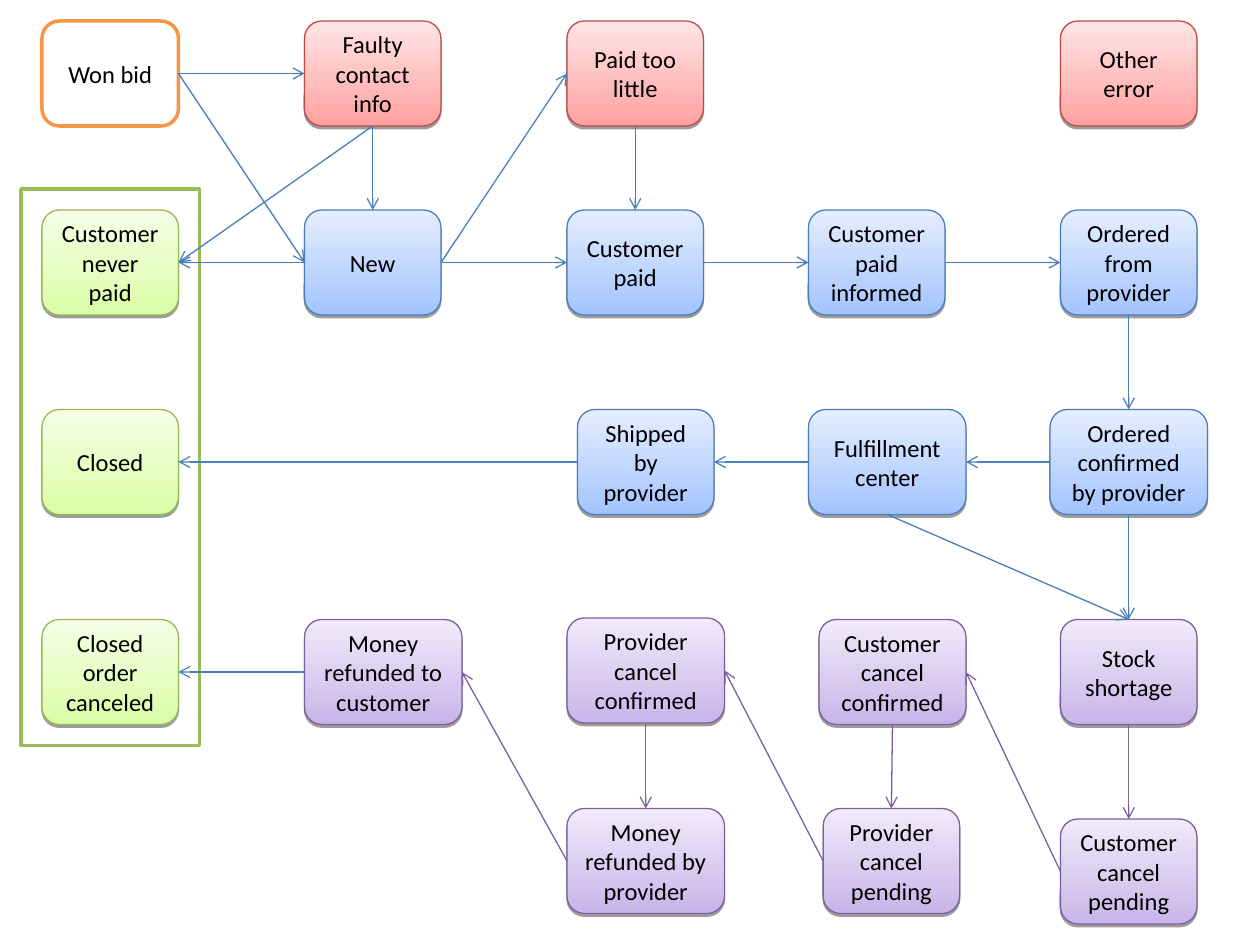
import dataclasses
import enum
import typing

import lxml.etree
import pptx
import pptx.dml.color
import pptx.enum.shapes
import pptx.enum.text
import pptx.oxml
import pptx.oxml.ns
import pptx.util

COLUMNS, ROWS = 120, 90
SLIDE_WIDTH, SLIDE_HEIGHT = pptx.util.Inches(10), pptx.util.Inches(7.5)
NODE_WIDTH, WIDE_NODE, NODE_HEIGHT = 13, 15, 10

Shapes = pptx.enum.shapes.MSO_SHAPE


class Side(enum.IntEnum):
    """Connection sites of a rounded rectangle."""
    TOP = 0
    LEFT = 1
    BOTTOM = 2
    RIGHT = 3


@dataclasses.dataclass(frozen=True)
class Style:
    line: str
    bottom: str = "FFFFFF"
    top: str = ""  # empty: flat fill without shadow
    line_width: float = 0.75


@dataclasses.dataclass(frozen=True)
class Node:
    text: str
    column: float
    row: float
    style: Style
    width: float = NODE_WIDTH


@dataclasses.dataclass(frozen=True)
class Arrow:
    start: str
    start_side: Side
    end: str
    end_side: Side
    color: str = "4A7EBB"


START = Style("F79646", line_width=2)
FRAME = Style("9BBB59", line_width=2)
ERROR = Style("BE4B48", "FFA2A1", "FFE5E5")
ORDER = Style("4A7EBB", "A3C4FF", "E5EEFF")
CANCEL = Style("7D60A0", "C9B5E8", "F0EAF9")
CLOSED = Style("98B954", "DAFDA7", "F5FFE6")

NODES = [
    Node("Won bid", 4, 2, START),
    Node("Faulty contact info", 29, 2, ERROR),
    Node("Paid too little", 54, 2, ERROR),
    Node("Other error", 101, 2, ERROR),
    Node("Customer never paid", 4, 20, CLOSED),
    Node("New", 29, 20, ORDER),
    Node("Customer paid", 54, 20, ORDER),
    Node("Customer paid informed", 77, 20, ORDER),
    Node("Ordered from provider", 101, 20, ORDER),
    Node("Closed", 4, 39, CLOSED),
    Node("Shipped by provider", 55, 39, ORDER),
    Node("Fulfillment center", 77, 39, ORDER, WIDE_NODE),
    Node("Ordered confirmed by provider", 100, 39, ORDER, WIDE_NODE),
    Node("Closed order canceled", 4, 59, CLOSED),
    Node("Money refunded to customer", 29, 59, CANCEL, WIDE_NODE),
    Node("Provider cancel confirmed", 54, 58.85, CANCEL, WIDE_NODE),
    Node("Customer cancel confirmed", 78, 59, CANCEL, 14),
    Node("Stock shortage", 101, 59, CANCEL),
    Node("Money refunded by provider", 54, 77, CANCEL, WIDE_NODE),
    Node("Provider cancel pending", 78.4, 77, CANCEL),
    Node("Customer cancel pending", 101, 78, CANCEL),
]


def rightward(start: str, end: str, color: str = ORDER.line) -> Arrow:
    return Arrow(start, Side.RIGHT, end, Side.LEFT, color)


def leftward(start: str, end: str, color: str = ORDER.line) -> Arrow:
    return Arrow(start, Side.LEFT, end, Side.RIGHT, color)


def downward(start: str, end: str, color: str = ORDER.line) -> Arrow:
    return Arrow(start, Side.BOTTOM, end, Side.TOP, color)


ARROWS = [
    rightward("Won bid", "Faulty contact info"),
    rightward("Won bid", "New"),
    downward("Faulty contact info", "New"),
    Arrow("Faulty contact info", Side.BOTTOM, "Customer never paid", Side.RIGHT),
    leftward("New", "Customer never paid"),
    rightward("New", "Paid too little"),
    rightward("New", "Customer paid"),
    downward("Paid too little", "Customer paid"),
    rightward("Customer paid", "Customer paid informed"),
    rightward("Customer paid informed", "Ordered from provider"),
    downward("Ordered from provider", "Ordered confirmed by provider"),
    leftward("Ordered confirmed by provider", "Fulfillment center"),
    downward("Ordered confirmed by provider", "Stock shortage"),
    downward("Fulfillment center", "Stock shortage"),
    leftward("Fulfillment center", "Shipped by provider"),
    leftward("Shipped by provider", "Closed"),
    downward("Stock shortage", "Customer cancel pending", CANCEL.line),
    leftward("Customer cancel pending", "Customer cancel confirmed", CANCEL.line),
    downward("Customer cancel confirmed", "Provider cancel pending", CANCEL.line),
    leftward("Provider cancel pending", "Provider cancel confirmed", CANCEL.line),
    downward("Provider cancel confirmed", "Money refunded by provider", CANCEL.line),
    leftward("Money refunded by provider", "Money refunded to customer", CANCEL.line),
    leftward("Money refunded to customer", "Closed order canceled"),
]


def rgb(value: str) -> pptx.dml.color.RGBColor:
    return pptx.dml.color.RGBColor.from_string(value)


def set_attributes(target: typing.Any, values: dict[str, typing.Any]) -> None:
    for name, value in values.items():
        setattr(target, name, value)


def set_line(line: typing.Any, color: str, width: float) -> None:
    line.color.rgb = rgb(color)
    line.width = pptx.util.Pt(width)


def add_shadow(shape: typing.Any) -> None:
    effects = shape.element.spPr.find(pptx.oxml.ns.qn("a:effectLst"))
    effects.append(pptx.oxml.parse_xml(
        f'<a:outerShdw {pptx.oxml.ns.nsdecls("a")} blurRad="0" dist="20000" '
        'dir="5400000" rotWithShape="0"><a:srgbClr val="000000">'
        '<a:alpha val="38000"/></a:srgbClr></a:outerShdw>'))


def add_box(slide: typing.Any, kind: Shapes, column: float, row: float,
            width: float, height: float, style: Style) -> typing.Any:
    shape = slide.shapes.add_shape(
        kind,
        round(SLIDE_WIDTH * column / COLUMNS), round(SLIDE_HEIGHT * row / ROWS),
        round(SLIDE_WIDTH * width / COLUMNS), round(SLIDE_HEIGHT * height / ROWS))
    shape.shadow.inherit = False
    set_line(shape.line, style.line, style.line_width)
    if style.top:
        shape.fill.gradient()
        shape.fill.gradient_angle = 90
        for stop, color in zip(shape.fill.gradient_stops, (style.bottom, style.top)):
            stop.color.rgb = rgb(color)
        add_shadow(shape)
    else:
        shape.fill.solid()
        shape.fill.fore_color.rgb = rgb(style.bottom)
    return shape


def add_node(slide: typing.Any, node: Node) -> typing.Any:
    shape = add_box(slide, Shapes.ROUNDED_RECTANGLE, node.column, node.row,
                    node.width, NODE_HEIGHT, node.style)
    set_attributes(shape.text_frame, {
        "word_wrap": True, "vertical_anchor": pptx.enum.text.MSO_ANCHOR.MIDDLE})
    paragraph = shape.text_frame.paragraphs[0]
    paragraph.alignment = pptx.enum.text.PP_ALIGN.CENTER
    run = paragraph.add_run()
    run.text = node.text
    set_attributes(run.font, {"name": "Calibri", "size": pptx.util.Pt(14)})
    run.font.color.rgb = rgb("000000")
    return shape


def add_arrow(slide: typing.Any, arrow: Arrow, shapes: dict[str, typing.Any]) -> None:
    connector = slide.shapes.add_connector(
        pptx.enum.shapes.MSO_CONNECTOR.STRAIGHT, 0, 0, 0, 0)
    connector.begin_connect(shapes[arrow.start], arrow.start_side.value)
    connector.end_connect(shapes[arrow.end], arrow.end_side.value)
    set_line(connector.line, arrow.color, 0.75)
    properties = connector.element.spPr
    line = properties.find(pptx.oxml.ns.qn("a:ln"))
    lxml.etree.SubElement(line, pptx.oxml.ns.qn("a:tailEnd"), type="arrow")
    lxml.etree.SubElement(properties, pptx.oxml.ns.qn("a:effectLst"))


def main() -> None:
    presentation = pptx.Presentation()
    set_attributes(presentation, {
        "slide_width": SLIDE_WIDTH, "slide_height": SLIDE_HEIGHT})
    slide = presentation.slides.add_slide(presentation.slide_layouts[6])
    add_box(slide, Shapes.RECTANGLE, 2, 18, 17, 53, FRAME)
    shapes = {node.text: add_node(slide, node) for node in NODES}
    for arrow in ARROWS:
        add_arrow(slide, arrow, shapes)
    presentation.save("out.pptx")


if __name__ == "__main__":
    main()
